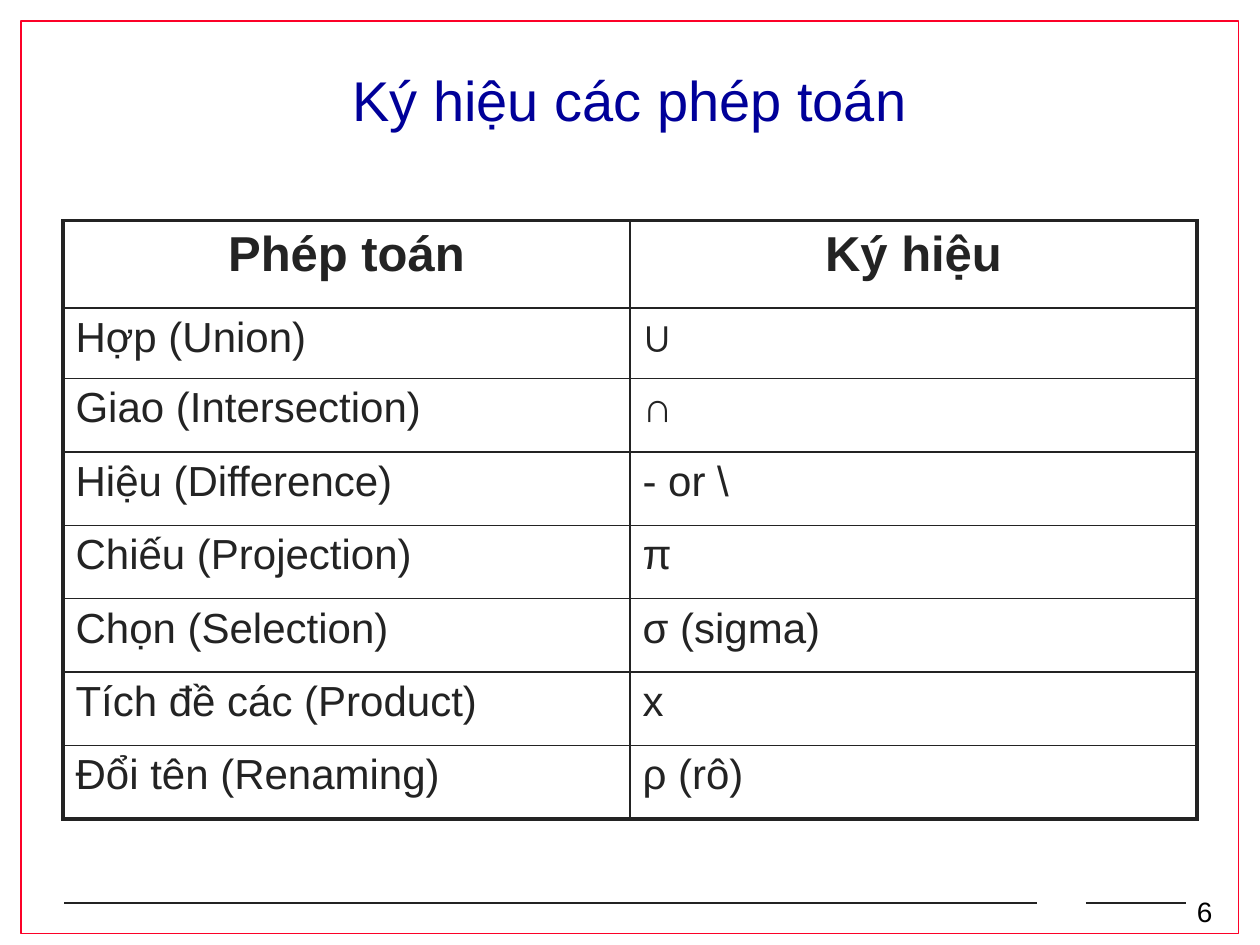
import pptx
import pptx.util
import pptx.dml.color
import pptx.enum.shapes
import pptx.enum.text
import pptx.oxml.ns
import lxml.etree

Cm, Pt = pptx.util.Cm, pptx.util.Pt
qn = pptx.oxml.ns.qn
ALIGN = pptx.enum.text.PP_ALIGN
ANCHOR = pptx.enum.text.MSO_ANCHOR

TITLE = "Ký hiệu các phép toán"
PAGE = "6"
ROWS = [
    ("Phép toán", "Ký hiệu"),
    ("Hợp (Union)", "∪"),
    ("Giao (Intersection)", "∩"),
    ("Hiệu (Difference)", "- or \\"),
    ("Chiếu (Projection)", "π"),
    ("Chọn (Selection)", "σ (sigma)"),
    ("Tích đề các (Product)", "x"),
    ("Đổi tên (Renaming)", "ρ (rô)"),
]
ROW_HEIGHTS = [1.76, 1.42] + [1.48] * 6
COL_WIDTH = 11.43
FOOTER_Y = 18.21
FOOTER_LINES = [(1.3, 4.88), (4.7, 20.9), (21.89, 23.9)]

THEME = {
    "font": "Arial", "ink": "232323", "frame": "FC0128", "title": "000099", "page": "000000",
    "title_size": 32, "head_size": 28, "body_size": 24, "page_size": 16,
    "thin": 1, "thick": 2.25,
}


def color(name):
    return pptx.dml.color.RGBColor.from_string(THEME[name])


def write(p, text, size, ink, bold=False):
    r = p.add_run()
    r.text = text
    r.font.name = THEME["font"]
    r.font.size = Pt(THEME[size])
    r.font.color.rgb = color(ink)
    r.font.bold = bold


def add_frame(s):
    frame = s.shapes.add_shape(pptx.enum.shapes.MSO_SHAPE.RECTANGLE,
                               Cm(0.43), Cm(0.43), Cm(24.54), Cm(18.39))
    frame.shadow.inherit = False
    frame.fill.background()
    frame.line.color.rgb = color("frame")
    frame.line.width = Pt(THEME["thin"])


def add_footer(s):
    for x1, x2 in FOOTER_LINES:
        line = s.shapes.add_connector(pptx.enum.shapes.MSO_CONNECTOR.STRAIGHT,
                                      Cm(x1), Cm(FOOTER_Y), Cm(x2), Cm(FOOTER_Y))
        line.line.color.rgb = color("ink")
        line.line.width = Pt(THEME["thin"])
        lxml.etree.SubElement(line._element.spPr, qn("a:effectLst"))
    tf = s.shapes.add_textbox(Cm(23.88), Cm(17.9), Cm(1.17), Cm(0.92)).text_frame
    tf.word_wrap = False
    tf.auto_size = pptx.enum.text.MSO_AUTO_SIZE.SHAPE_TO_FIT_TEXT
    write(tf.paragraphs[0], PAGE, "page_size", "page")


def add_title(s):
    title = s.shapes.title
    title.left, title.top, title.width, title.height = Cm(1.9), Cm(1.27), Cm(21.59), Cm(1.47)
    tf = title.text_frame
    tf.word_wrap = True
    tf.vertical_anchor = ANCHOR.MIDDLE
    p = tf.paragraphs[0]
    p.alignment = ALIGN.CENTER
    write(p, TITLE, "title_size", "title")


def set_borders(cell, outer):
    """Draw all four cell borders, thick on the sides marked as outer."""
    tcPr = cell._tc.get_or_add_tcPr()
    for side, is_outer in zip("LRTB", outer):
        width = Pt(THEME["thick" if is_outer else "thin"])
        ln = lxml.etree.SubElement(tcPr, qn(f"a:ln{side}"), w=str(int(width)))
        fill = lxml.etree.SubElement(ln, qn("a:solidFill"))
        lxml.etree.SubElement(fill, qn("a:srgbClr"), val=THEME["ink"])


def space_before(p, percent):
    spacing = lxml.etree.SubElement(p._p.get_or_add_pPr(), qn("a:spcBef"))
    lxml.etree.SubElement(spacing, qn("a:spcPct"), val=str(percent * 1000))


def add_operations(s):
    n_rows, n_cols = len(ROWS), len(ROWS[0])
    table = s.shapes.add_table(n_rows, n_cols, Cm(1.27), Cm(4.45),
                               Cm(COL_WIDTH * n_cols), Cm(sum(ROW_HEIGHTS))).table
    table.first_row = table.horz_banding = False
    for column in table.columns:
        column.width = Cm(COL_WIDTH)
    for i, (texts, height) in enumerate(zip(ROWS, ROW_HEIGHTS)):
        table.rows[i].height = Cm(height)
        head = i == 0
        for j, text in enumerate(texts):
            cell = table.cell(i, j)
            set_borders(cell, (j == 0, j == n_cols - 1, head, i == n_rows - 1))
            cell.fill.background()
            p = cell.text_frame.paragraphs[0]
            p.alignment = ALIGN.CENTER if head else ALIGN.LEFT
            space_before(p, 20)
            write(p, text, "head_size" if head else "body_size", "ink", head)


def main():
    prs = pptx.Presentation()
    prs.slide_width, prs.slide_height = Cm(25.4), Cm(19.05)
    s = prs.slides.add_slide(prs.slide_layouts[5])
    add_frame(s)
    add_footer(s)
    add_title(s)
    add_operations(s)
    prs.save("out.pptx")


if __name__ == "__main__":
    main()
